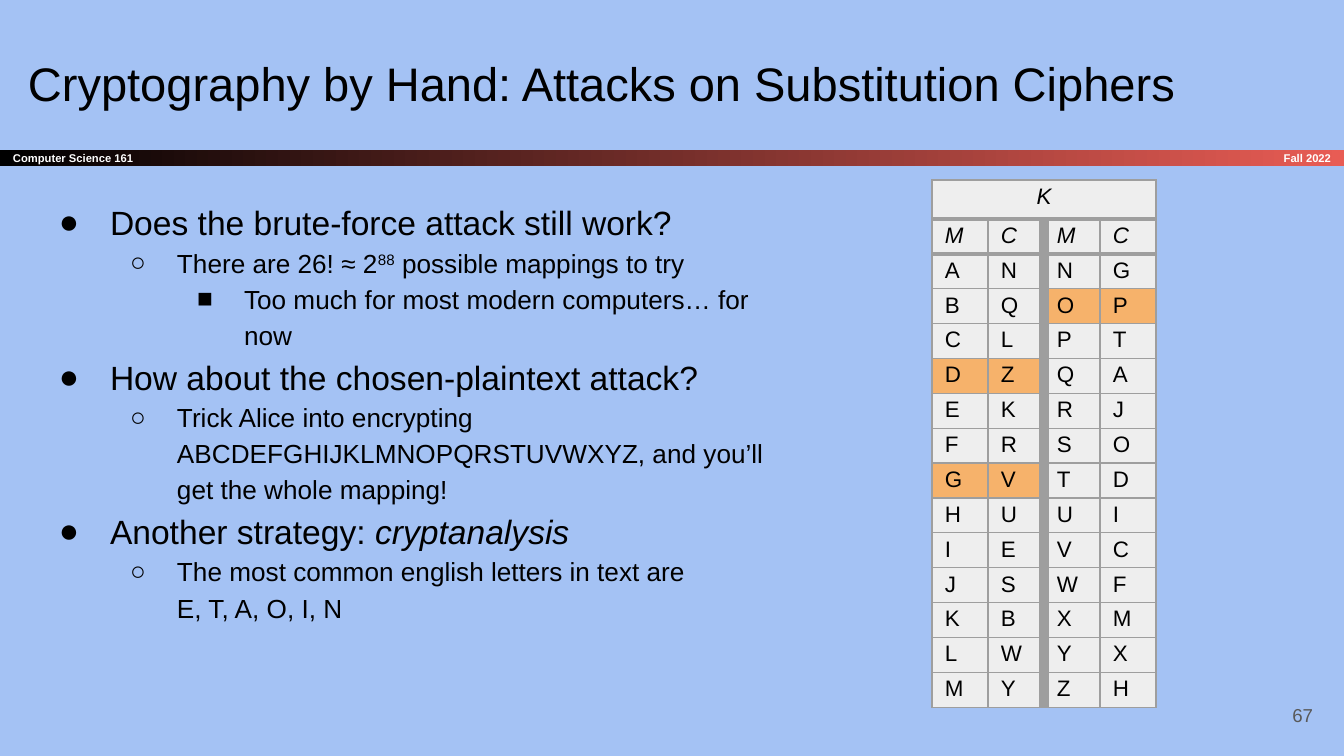
from typing import NamedTuple

from lxml.etree import SubElement
from pptx import Presentation
from pptx.dml.color import RGBColor
from pptx.enum.shapes import MSO_SHAPE
from pptx.enum.text import MSO_ANCHOR, PP_ALIGN
from pptx.oxml.ns import qn
from pptx.util import Emu, Pt

EMU_PER_PX = 914400 / 134.4
FONT = "Arial"
BLACK, WHITE, GREY = "000000", "FFFFFF", "595959"
BACKGROUND, BAND_END = "A4C2F4", "E85C54"
CELL, HIGHLIGHT, BORDER = "EEEEEE", "F6B26B", "9E9E9E"
THIN, MEDIUM, THICK = 0.75, 2.25, 6


class Box(NamedTuple):
    left: int
    top: int
    width: int
    height: int


class Span(NamedTuple):
    text: str
    italic: bool = False
    baseline: int = 0


class Point(NamedTuple):
    level: int
    spans: list[Span]


class Level(NamedTuple):
    bullet: str
    hanging: int
    size: int


LEVELS = [Level("●", 51, 18), Level("○", 47, 14), Level("■", 47, 14)]
LEVEL_INDENT = 67

POINTS = [
    Point(0, [Span("Does the brute-force attack still work?")]),
    Point(1, [Span("There are 26! ≈ 2"), Span("88", baseline=30000),
              Span(" possible mappings to try")]),
    Point(2, [Span("Too much for most modern computers… for now")]),
    Point(0, [Span("How about the chosen-plaintext attack?")]),
    Point(1, [Span("Trick Alice into encrypting ABCDEFGHIJKLMNOPQRSTUVWXYZ, "
                   "and you’ll get the whole mapping!")]),
    Point(0, [Span("Another strategy: "), Span("cryptanalysis", italic=True)]),
    Point(1, [Span("The most common english letters in text are\nE, T, A, O, I, N")]),
]

PLAIN = "ABCDEFGHIJKLMNOPQRSTUVWXYZ"
CIPHER = "NQLZKRVUESBWYGPTAJODICFMXH"
HIGHLIGHTED = "DGO"


def px(length: int) -> Emu:
    return Emu(round(length * EMU_PER_PX))


def place(box: Box) -> list[Emu]:
    return [px(length) for length in box]


def rgb(color: str) -> RGBColor:
    return RGBColor.from_string(color)


def add_text(paragraph, text: str, *, size: float, color: str = BLACK,
             bold: bool = False, italic: bool = False, baseline: int = 0) -> None:
    for number, line in enumerate(text.split("\n")):
        if number:
            paragraph.add_line_break()
        run = paragraph.add_run()
        run.text = line
        run.font.name, run.font.size = FONT, Pt(size)
        run.font.bold, run.font.italic = bold, italic
        run.font.color.rgb = rgb(color)
        if baseline:
            run.font._element.set("baseline", str(baseline))


def prepare_frame(frame, anchor: MSO_ANCHOR) -> None:
    frame.word_wrap = True
    frame.vertical_anchor = anchor
    frame.margin_left = frame.margin_right = px(13)
    frame.margin_top = frame.margin_bottom = px(13)


def add_label(slide, box: Box, text: str, *, align: PP_ALIGN = PP_ALIGN.LEFT,
              anchor: MSO_ANCHOR = MSO_ANCHOR.MIDDLE, **text_format) -> None:
    frame = slide.shapes.add_textbox(*place(box)).text_frame
    prepare_frame(frame, anchor)
    frame.paragraphs[0].alignment = align
    add_text(frame.paragraphs[0], text, **text_format)


def add_band(slide, box: Box, text: str) -> None:
    band = slide.shapes.add_shape(MSO_SHAPE.RECTANGLE, *place(box))
    band.shadow.inherit = False
    band.line.fill.background()
    band.fill.gradient()
    band.fill.gradient_angle = 0
    for stop, color in zip(band.fill.gradient_stops, (BLACK, BAND_END)):
        stop.color.rgb = rgb(color)
    prepare_frame(band.text_frame, MSO_ANCHOR.MIDDLE)
    paragraph = band.text_frame.paragraphs[0]
    paragraph.alignment = PP_ALIGN.LEFT
    add_text(paragraph, text, size=6, color=WHITE, bold=True)


def set_bullet(paragraph, level_number: int) -> None:
    level = LEVELS[level_number]
    paragraph.level = level_number
    paragraph.line_spacing = 1.15
    properties = paragraph._p.get_or_add_pPr()
    properties.set("marL", str(px(LEVEL_INDENT * (level_number + 1))))
    properties.set("indent", str(px(-level.hanging)))
    bullet_color = SubElement(properties, qn("a:buClr"))
    SubElement(bullet_color, qn("a:srgbClr"), val=BLACK)
    SubElement(properties, qn("a:buFont"), typeface=FONT)
    SubElement(properties, qn("a:buChar"), char=level.bullet)


def add_points(slide, box: Box, points: list[Point]) -> None:
    frame = slide.shapes.add_textbox(*place(box)).text_frame
    prepare_frame(frame, MSO_ANCHOR.TOP)
    for number, point in enumerate(points):
        paragraph = frame.add_paragraph() if number else frame.paragraphs[0]
        set_bullet(paragraph, point.level)
        for span in point.spans:
            add_text(paragraph, span.text, size=LEVELS[point.level].size,
                     italic=span.italic, baseline=span.baseline)


def set_borders(cell, **widths: float) -> None:
    properties = cell._tc.get_or_add_tcPr()
    for side in "LRTB":
        line = SubElement(properties, qn(f"a:ln{side}"), w=str(Pt(widths[side])))
        fill = SubElement(line, qn("a:solidFill"))
        SubElement(fill, qn("a:srgbClr"), val=BORDER)


def add_key_table(slide, box: Box, first_row_height: int) -> None:
    half = len(PLAIN) // 2
    rows = [["K", "", "", ""], ["M", "C", "M", "C"]]
    rows += [[PLAIN[i], CIPHER[i], PLAIN[i + half], CIPHER[i + half]]
             for i in range(half)]
    table = slide.shapes.add_table(len(rows), 4, *place(box)).table
    table.first_row = table.horz_banding = False
    for column in table.columns:
        column.width = px(box.width // 4)
    for r, letters in enumerate(rows):
        row_height = (box.height - first_row_height) // (len(rows) - 1)
        table.rows[r].height = px(row_height if r else first_row_height)
        for c, letter in enumerate(letters):
            cell = table.cell(r, c)
            cell.margin_left = cell.margin_right = px(13)
            cell.margin_top = cell.margin_bottom = px(4)
            set_borders(cell,
                        L=THICK if r and c == 2 else THIN,
                        R=THICK if r and c == 1 else THIN,
                        T=MEDIUM if r in (1, 2) else THIN,
                        B=MEDIUM if r in (0, 1) else THIN)
            plain_letter = letters[c // 2 * 2]
            marked = r > 1 and plain_letter in HIGHLIGHTED
            cell.fill.solid()
            cell.fill.fore_color.rgb = rgb(HIGHLIGHT if marked else CELL)
            paragraph = cell.text_frame.paragraphs[0]
            if r == 0:
                paragraph.alignment = PP_ALIGN.CENTER
            if letter:
                add_text(paragraph, letter, size=12, italic=r < 2)
    table.cell(0, 0).merge(table.cell(0, 3))


def main() -> None:
    presentation = Presentation()
    presentation.slide_width, presentation.slide_height = px(1344), px(756)
    slide = presentation.slides.add_slide(presentation.slide_layouts[6])
    slide.background.fill.solid()
    slide.background.fill.fore_color.rgb = rgb(BACKGROUND)

    # Course band
    add_band(slide, Box(0, 150, 1344, 16), "Computer Science 161")
    add_label(slide, Box(1121, 150, 223, 16), "Fall 2022", align=PP_ALIGN.RIGHT,
              size=6, color=WHITE, bold=True)

    # Title and argument
    add_label(slide, Box(15, 41, 1253, 85), anchor=MSO_ANCHOR.TOP, size=25.2,
              text="Cryptography by Hand: Attacks on Substitution Ciphers")
    add_points(slide, Box(30, 183, 755, 554), POINTS)

    # Page number
    add_label(slide, Box(1245, 686, 81, 58), "67", align=PP_ALIGN.RIGHT,
              size=10, color=GREY)

    # Substitution key
    add_key_table(slide, Box(932, 180, 224, 501), first_row_height=39)

    presentation.save("out.pptx")


if __name__ == "__main__":
    main()
